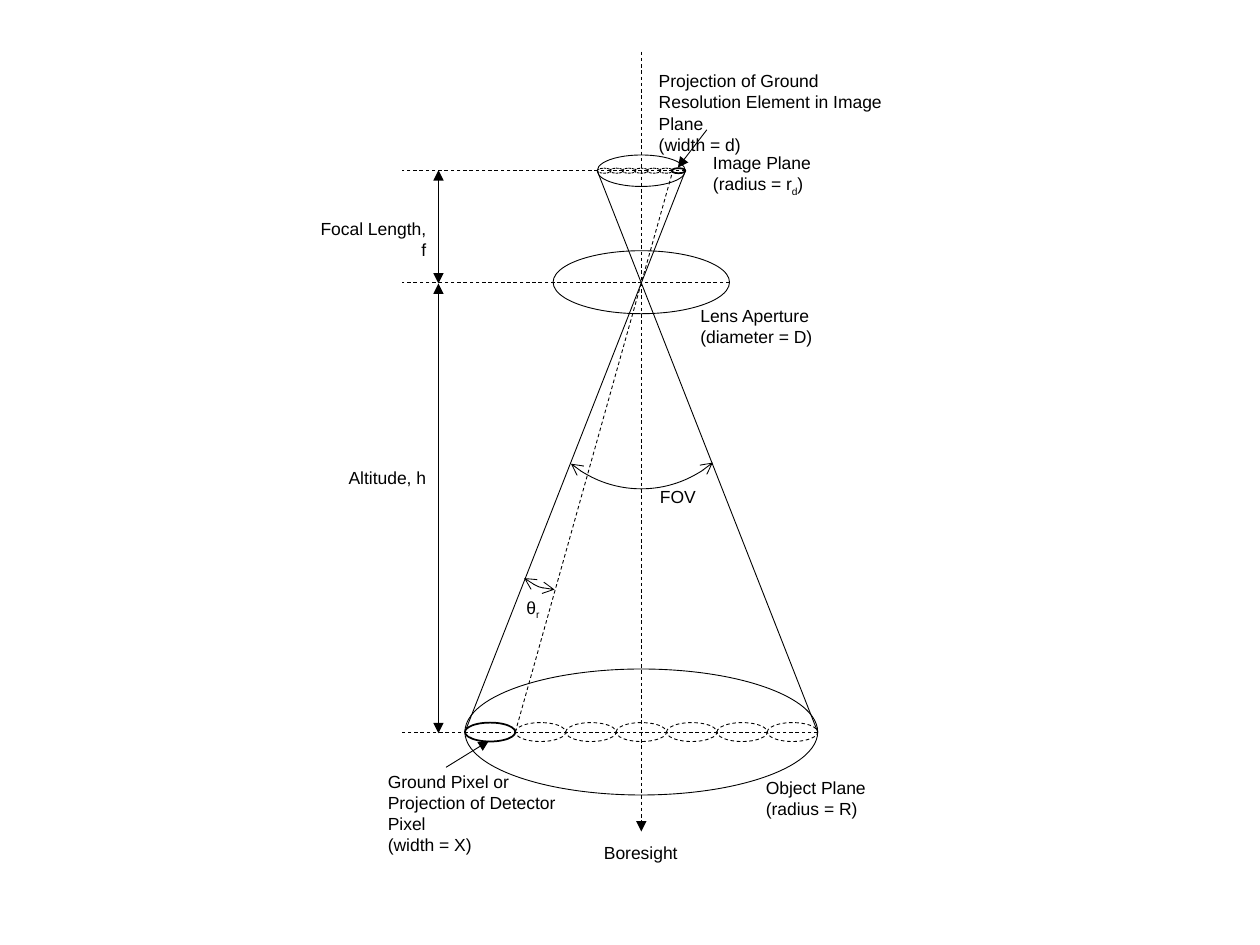
from lxml import etree
from pptx import Presentation
from pptx.dml.color import RGBColor
from pptx.enum.dml import MSO_LINE
from pptx.enum.shapes import MSO_CONNECTOR, MSO_SHAPE
from pptx.enum.text import MSO_AUTO_SIZE, PP_ALIGN
from pptx.oxml.ns import qn
from pptx.util import Inches, Pt

COLORS = {"ink": "000000", "paper": "FFFFFF"}
FONT = "Arial"
CELL = 0.1  # the slide is a grid of 100 columns by 75 rows
THIN, BOLD = 0.5, 1
DASH, SHORT_DASH = MSO_LINE.DASH, MSO_LINE.SQUARE_DOT
ELLIPSE, ARC = MSO_SHAPE.OVAL, MSO_SHAPE.ARC
STRAIGHT = MSO_CONNECTOR.STRAIGHT
LEFT, CENTER, RIGHT = PP_ALIGN.LEFT, PP_ALIGN.CENTER, PP_ALIGN.RIGHT

# Boxes in grid cells: left, top, width, height
IMAGE_PLANE = (47.4, 12.3, 7, 2.5)
LENS = (43.9, 19.9, 14, 5)
OBJECT_PLANE = (36.9, 53.1, 28, 10)
GUIDE_LEFT, DIMENSION_X = 31.9, 34.8
PIXELS = 7


def grid(*cells):
    return [Inches(cell * CELL) for cell in cells]


def middle(box):
    left, top, width, height = box
    return left + width / 2, top + height / 2


def style_line(line, width=THIN, dash=None, head=None, tail=None):
    line.color.rgb = RGBColor.from_string(COLORS["ink"])
    line.width = Pt(width)
    if dash:
        line.dash_style = dash
    ln = line._get_or_add_ln()
    for tag, arrow in (("a:headEnd", head), ("a:tailEnd", tail)):
        if arrow:
            etree.SubElement(ln, qn(tag)).set("type", arrow)


def add_line(shapes, start, end, **style):
    connector = shapes.add_connector(STRAIGHT, *grid(*start, *end))
    style_line(connector.line, **style)
    etree.SubElement(connector._element.spPr, qn("a:effectLst"))


def add_outline(shapes, kind, box, **style):
    outline = shapes.add_shape(kind, *grid(*box))
    outline.shadow.inherit = False
    outline.fill.background()
    style_line(outline.line, **style)
    return outline


def add_label(shapes, box, lines, align=LEFT):
    """Each line is a list of strings; every second one is a subscript."""
    label = shapes.add_textbox(*grid(*box))
    frame = label.text_frame
    frame.word_wrap = True
    frame.auto_size = MSO_AUTO_SIZE.SHAPE_TO_FIT_TEXT
    for number, parts in enumerate(lines):
        paragraph = frame.add_paragraph() if number else frame.paragraphs[0]
        paragraph.alignment = align
        for position, text in enumerate(parts):
            run = paragraph.add_run()
            run.text = text
            run.font.name = FONT
            run.font.size = Pt(10)
            run.font.color.rgb = RGBColor.from_string(COLORS["ink"])
            if position % 2:
                run.font._element.set("baseline", "-25000")


def draw_plane(shapes, box, guide_y):
    """Ellipse with a dashed guide to the dimension lines."""
    left, top, width, height = box
    add_outline(shapes, ELLIPSE, box)
    add_line(shapes, (left + width, middle(box)[1]), (GUIDE_LEFT, guide_y), dash=DASH)


def draw_pixel_row(shapes, box, pixel_width, pixel_height, marked, dash):
    """Equal pixels across a plane, one of them outlined boldly."""
    left, top, width, height = box
    pitch = (width - pixel_width) / (PIXELS - 1)
    pixel_top = middle(box)[1] - pixel_height / 2
    for index in range(PIXELS):
        style = {"width": BOLD} if index == marked else {"dash": dash}
        pixel = (left + index * pitch, pixel_top, pixel_width, pixel_height)
        add_outline(shapes, ELLIPSE, pixel, **style)


def draw_rays(shapes, image, ground):
    """Edge rays and the single-pixel ray, crossing at the lens."""
    image_y, ground_y = middle(image)[1], middle(ground)[1]
    image_right, ground_right = image[0] + image[2], ground[0] + ground[2]
    add_line(shapes, (ground[0], ground_y), (image_right, image_y))
    add_line(shapes, (ground_right, ground_y), (image[0], image_y))
    add_line(shapes, (ground[0] + ground[2] / PIXELS, ground_y),
             (image_right - image[2] / PIXELS, image_y), dash=DASH)


def draw_angle(shapes, box, start, end):
    """Double-headed arc between two angles in degrees."""
    arc = add_outline(shapes, ARC, box, head="arrow", tail="arrow")
    arc.adjustments[0] = start * 0.6
    arc.adjustments[1] = end * 0.6


def draw_dimensions(shapes, x, levels):
    for top, bottom in zip(levels, levels[1:]):
        add_line(shapes, (x, top), (x, bottom), head="triangle", tail="triangle")


def draw_labels(shapes):
    add_label(shapes, (55.6, 11.6, 10.9, 4.4),
              [["Image Plane"], ["(radius = r", "d", ")"]])
    add_label(shapes, (54.6, 23.7, 10.9, 4.4), [["Lens Aperture"], ["(diameter = D)"]])
    add_label(shapes, (59.8, 61.2, 11.2, 4.4), [["Object Plane"], ["(radius = R)"]])
    add_label(shapes, (45.6, 66.3, 10.5, 2.7), [["Boresight"]], CENTER)
    add_label(shapes, (50.8, 38.1, 6, 2.7), [["FOV"]], CENTER)
    add_label(shapes, (40.8, 46.9, 3.3, 2.7), [["θ", "r"]])
    add_label(shapes, (24, 16.8, 10.8, 2.7), [["Focal Length, f"]], RIGHT)
    add_label(shapes, (26.6, 36.6, 8.2, 2.7), [["Altitude, h"]], RIGHT)


def draw_callout(shapes, box, lines, start, end):
    """Label with an arrow to the pixel it describes."""
    add_label(shapes, box, lines)
    add_line(shapes, start, end, tail="triangle")


def draw_optics(shapes):
    axis_x = middle(LENS)[0]
    # Planes, pixels and lens
    draw_plane(shapes, IMAGE_PLANE, 13.55)
    draw_plane(shapes, LENS, 22.4)
    draw_plane(shapes, OBJECT_PLANE, 58.1)
    draw_pixel_row(shapes, IMAGE_PLANE, 1.1, 0.4, PIXELS - 1, SHORT_DASH)
    draw_pixel_row(shapes, OBJECT_PLANE, 4, 1.5, 0, DASH)
    # Boresight axis and rays
    add_line(shapes, (axis_x, 4.1), (axis_x, 66), dash=DASH, tail="triangle")
    draw_rays(shapes, IMAGE_PLANE, OBJECT_PLANE)
    # Field of view and resolution angles
    draw_angle(shapes, (42.1, 21.2, 17.6, 17.6), 49.8, 129.32)
    draw_angle(shapes, (39.7, 36.5, 8.8, 10.3), 90.97, 120.48)
    # Focal length and altitude
    draw_dimensions(shapes, DIMENSION_X, (13.5, 22.5, 58.2))
    # Wording
    draw_labels(shapes)
    draw_callout(shapes, (29.8, 60.7, 17.7, 6.1),
                 [["Ground Pixel or"], ["Projection of Detector Pixel"], ["(width = X)"]],
                 (35.4, 60.9), (38.8, 58.8))
    draw_callout(shapes, (51.3, 5.1, 20.4, 6.1),
                 [["Projection of Ground Resolution Element in Image Plane"],
                  ["(width = d)"]],
                 (56.1, 10.3), (53.8, 13.3))


def main():
    prs = Presentation()
    prs.slide_width, prs.slide_height = grid(100, 75)
    slide = prs.slides.add_slide(prs.slide_layouts[6])
    slide.background.fill.solid()
    slide.background.fill.fore_color.rgb = RGBColor.from_string(COLORS["paper"])
    draw_optics(slide.shapes.add_group_shape().shapes)
    prs.save("out.pptx")


if __name__ == "__main__":
    main()
